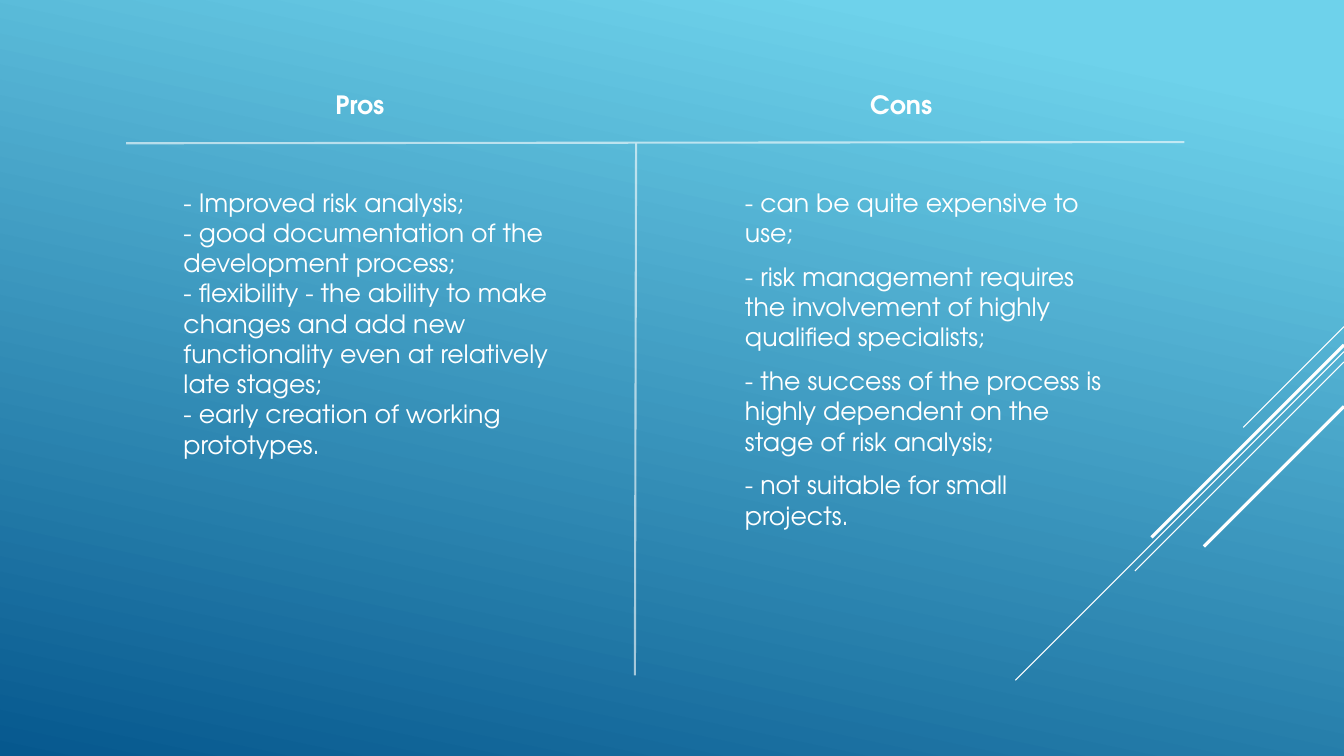
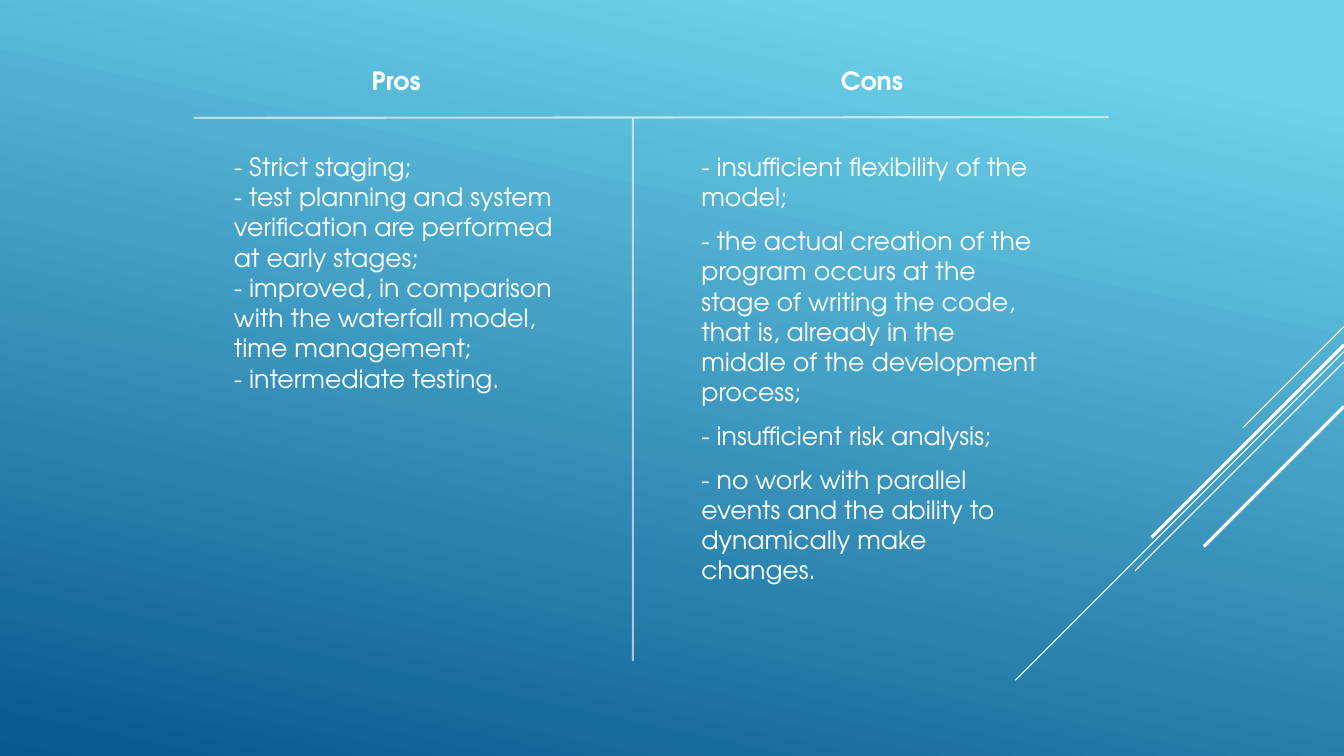
"""Build two pros-and-cons slides on a shared blue gradient with slanted strokes."""
from copy import deepcopy
from dataclasses import dataclass

from lxml.etree import SubElement
from pptx import Presentation
from pptx.dml.color import RGBColor
from pptx.enum.shapes import MSO_CONNECTOR
from pptx.enum.text import MSO_ANCHOR, MSO_AUTO_SIZE, PP_ALIGN
from pptx.oxml.ns import qn
from pptx.shapes.connector import Connector
from pptx.slide import Slide, SlideMaster
from pptx.text.text import TextFrame
from pptx.util import Cm, Pt


@dataclass(frozen=True)
class Theme:
    font: str = "TeX Gyre Adventor"
    size: float = 18
    white: RGBColor = RGBColor(0xFF, 0xFF, 0xFF)
    light: RGBColor = RGBColor(0x6E, 0xD2, 0xEB)
    dark: RGBColor = RGBColor(0x06, 0x58, 0x8E)
    thin: float = 0.75
    rule: float = 1.5
    thick: float = 2.25
    alpha: int = 60
    after: float = 6
    wide: float = 33.87
    high: float = 19.05


@dataclass(frozen=True)
class Box:
    left: float
    top: float
    width: float
    height: float


@dataclass(frozen=True)
class Line:
    x1: float
    y1: float
    x2: float
    y2: float
    weight: float
    alpha: int = 100


@dataclass(frozen=True)
class Side:
    name: str
    head: Box
    body: Box
    items: tuple[str, ...]


@dataclass(frozen=True)
class Page:
    pros: Side
    cons: Side
    rules: tuple[Line, ...]


THEME = Theme()


def slant(top: float, drop: float, weight: float) -> Line:
    """Return a 45 degree stroke running down from the right edge."""
    return Line(THEME.wide, top, THEME.wide - drop, top + drop, weight)


def rule(x1: float, y1: float, x2: float, y2: float) -> Line:
    """Return one half-clear line of the T-shaped frame."""
    return Line(x1, y1, x2, y2, THEME.rule, THEME.alpha)


STROKES = (
    slant(8.23, 2.54, THEME.thin),
    slant(8.86, 8.28, THEME.thin),
    slant(9.12, 5.27, THEME.thin),
    slant(8.69, 4.85, THEME.thick),
    slant(10.24, 3.53, THEME.thick),
)

PAGES = (
    Page(
        Side("Pros", Box(4.65, 2.13, 8.84, 1.02), Box(4.37, 3.58, 10.01, 9.12), (
            "- Improved risk analysis;",
            "- good documentation of the development process;",
            "- flexibility - the ability to make changes and add new "
            "functionality even at relatively late stages;",
            "- early creation of working prototypes.",
        )),
        Side("Cons", Box(18.47, 2.13, 8.48, 1.02), Box(18.52, 3.73, 9.5, 10.62), (
            "- can be quite expensive to use;",
            "- risk management requires the involvement of highly "
            "qualified specialists;",
            "- the success of the process is highly dependent on the "
            "stage of risk analysis;",
            "- not suitable for small projects.",
        )),
        (rule(3.18, 3.61, 29.85, 3.58), rule(16.03, 3.61, 16, 17.02)),
    ),
    Page(
        Side("Pros", Box(5.92, 1.52, 8.13, 1.02), Box(5.64, 2.95, 9.09, 7.82), (
            "- Strict staging;",
            "- test planning and system verification are performed at early stages;",
            "- improved, in comparison with the waterfall model, time management;",
            "- intermediate testing.",
        )),
        Side("Cons", Box(17.91, 1.52, 8.13, 1.02), Box(17.42, 2.97, 9.07, 12.62), (
            "- insufficient flexibility of the model;",
            "- the actual creation of the program occurs at the stage of "
            "writing the code, that is, already in the middle of the "
            "development process;",
            "- insufficient risk analysis;",
            "- no work with parallel events and the ability to dynamically "
            "make changes.",
        )),
        (rule(15.95, 2.97, 15.95, 16.66), rule(4.88, 2.97, 27.94, 2.95)),
    ),
)


def apply(target: object, values: dict[str, object]) -> None:
    """Set each named format value on the target."""
    for name, value in values.items():
        setattr(target, name, value)


def place(shape: object, box: Box) -> None:
    """Move and size a shape to its box."""
    apply(shape, {
        "left": Cm(box.left), "top": Cm(box.top),
        "width": Cm(box.width), "height": Cm(box.height),
    })


def style(frame: TextFrame, align: PP_ALIGN, bold: bool = False) -> None:
    """Give all runs and line breaks of a frame the theme's type."""
    for para in frame.paragraphs:
        para.alignment = align
        for run in para.runs:
            apply(run.font, {
                "name": THEME.font, "size": Pt(THEME.size), "bold": bold,
            })
            run.font.color.rgb = THEME.white
        for gap in para._p.findall(qn("a:br")):
            gap.append(deepcopy(para.runs[0].font._element))


def draw(slide: Slide, line: Line) -> Connector:
    """Draw a straight white line without a shadow."""
    shape = slide.shapes.add_connector(
        MSO_CONNECTOR.STRAIGHT,
        Cm(line.x1), Cm(line.y1), Cm(line.x2), Cm(line.y2),
    )
    shape.line.color.rgb = THEME.white
    shape.line.width = Pt(line.weight)
    props = shape.element.spPr
    if line.alpha < 100:
        tint = props.find(".//" + qn("a:srgbClr"))
        SubElement(tint, qn("a:alpha"), val=str(line.alpha * 1000))
    SubElement(props, qn("a:effectLst"))
    return shape


def paint(master: SlideMaster) -> None:
    """Fill the master's background with the gradient."""
    fill = master.background.fill
    fill.gradient()
    fill.gradient_angle = 360 - 102
    looks = ((0.1, THEME.light), (1.0, THEME.dark))
    for stop, (point, color) in zip(fill.gradient_stops, looks):
        stop.position = point
        stop.color.rgb = color


def share(slide: Slide, master: SlideMaster) -> None:
    """Draw the slanted strokes and hand them to the master."""
    for number, line in enumerate(STROKES, 101):
        shape = draw(slide, line)
        shape.element.find(".//" + qn("p:cNvPr")).set("id", str(number))
        master.shapes.element.append(shape.element)


def label(slide: Slide, side: Side) -> None:
    """Add the bold heading of a column."""
    shape = slide.shapes.add_textbox(0, 0, 0, 0)
    place(shape, side.head)
    frame = shape.text_frame
    frame.text = side.name
    apply(frame, {
        "word_wrap": True, "auto_size": MSO_AUTO_SIZE.SHAPE_TO_FIT_TEXT,
    })
    style(frame, PP_ALIGN.CENTER, True)


def build(slide: Slide, page: Page) -> None:
    """Fill one slide with both columns, the frame and the headings."""
    title, body = slide.shapes.title, slide.placeholders[1]
    title.text_frame.paragraphs[0].text = "\n".join(page.pros.items)
    body.text_frame.text = "\n".join(page.cons.items)
    for shape, side in ((title, page.pros), (body, page.cons)):
        place(shape, side.body)
        apply(shape.text_frame, {
            "word_wrap": True, "auto_size": MSO_AUTO_SIZE.NONE,
            "vertical_anchor": MSO_ANCHOR.MIDDLE,
        })
        style(shape.text_frame, PP_ALIGN.LEFT)
    for para in body.text_frame.paragraphs:
        para.space_after = Pt(THEME.after)
        props = para._p.get_or_add_pPr()
        props.set("marL", "0")
        props.set("indent", "0")
        SubElement(props, qn("a:buNone"))
    for line in page.rules:
        draw(slide, line)
    for side in (page.pros, page.cons):
        label(slide, side)


def main() -> None:
    """Build and save the deck."""
    deck = Presentation()
    apply(deck, {"slide_width": Cm(THEME.wide), "slide_height": Cm(THEME.high)})
    master = deck.slide_master
    paint(master)
    slides = [deck.slides.add_slide(deck.slide_layouts[1]) for _ in PAGES]
    share(slides[0], master)
    for slide, page in zip(slides, PAGES):
        build(slide, page)
    deck.save("out.pptx")


main()
